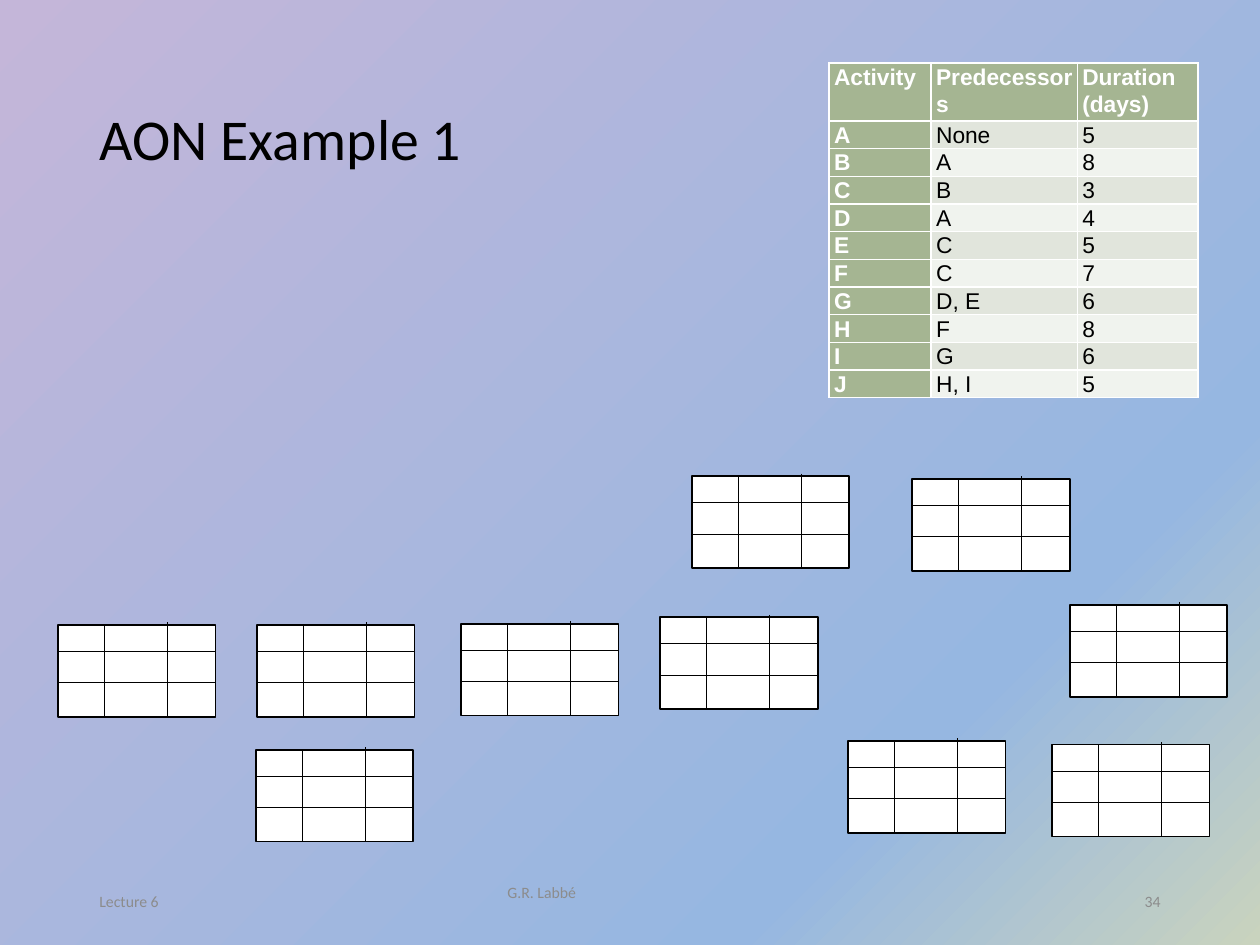
from dataclasses import dataclass

from lxml import etree
from pptx import Presentation
from pptx.dml.color import RGBColor
from pptx.enum.shapes import MSO_CONNECTOR, MSO_SHAPE
from pptx.enum.text import MSO_ANCHOR as ANCHOR, PP_ALIGN as ALIGN
from pptx.oxml import parse_xml
from pptx.oxml.ns import nsdecls, qn
from pptx.util import Inches, Pt


@dataclass(frozen=True)
class Theme:
    black: str = "000000"
    white: str = "FFFFFF"
    green: str = "A5B592"
    bands: tuple = ("E1E5DC", "F0F3EE")
    grey: str = "8C8C8C"
    gradient: tuple = ((0, "C9D3BE"), (24, "96B7E1"), (100, "C4B6D9"))
    title_font: str = "Calibri"
    table_font: str = "Arial"
    title_size: int = 33
    table_size: int = 13
    footer_size: int = 9
    outline: float = 1
    divider: float = 0.5


THEME = Theme()

ACTIVITIES = [
    ("Activity", "Predecessors", "Duration (days)"),
    ("A", "None", "5"),
    ("B", "A", "8"),
    ("C", "B", "3"),
    ("D", "A", "4"),
    ("E", "C", "5"),
    ("F", "C", "7"),
    ("G", "D, E", "6"),
    ("H", "F", "8"),
    ("I", "G", "6"),
    ("J", "H, I", "5"),
]
COLUMN_WIDTHS = (0.81, 1.16, 0.96)
HEADER_HEIGHT, ROW_HEIGHT = 0.46, 0.22

# Text, box, alignment and right inset of each footer part
FOOTERS = [
    ("Lecture 6", (0.69, 6.95, 2.25, 0.4), ALIGN.LEFT, 0.1),
    ("G.R. Labbé", (3.21, 6.88, 3.38, 0.4), ALIGN.CENTER, 1.3),
    ("34", (7.06, 6.95, 2.25, 0.4), ALIGN.RIGHT, 0.1),
]

# Top-left corners of the network nodes
NODE_SIZE = (1.25, 0.73)
NODES = [
    (0.46, 4.96), (2.04, 4.96), (2.03, 5.95), (3.66, 4.95), (5.24, 4.9),
    (5.49, 3.78), (7.24, 3.8), (6.73, 5.88), (8.35, 5.91), (8.49, 4.8),
]


def rgb(value):
    return RGBColor.from_string(value)


def inches(box):
    return [Inches(v) for v in box]


def add_run(p, text, font, size, color, bold=False):
    r = p.add_run()
    r.text = text
    r.font.name = font
    r.font.size = Pt(size)
    r.font.bold = bold
    r.font.color.rgb = rgb(color)


def set_background(s):
    """Radial gradient spreading from the bottom-right corner."""
    stops = "".join(
        f'<a:gs pos="{pos * 1000}"><a:srgbClr val="{color}"/></a:gs>'
        for pos, color in THEME.gradient)
    bg = parse_xml(
        f'<p:bg {nsdecls("p", "a")}><p:bgPr><a:gradFill rotWithShape="1">'
        f'<a:gsLst>{stops}</a:gsLst><a:path path="circle">'
        '<a:fillToRect l="100000" t="100000"/></a:path></a:gradFill>'
        '<a:effectLst/></p:bgPr></p:bg>')
    s.element.cSld.insert(0, bg)


def place_title(s, box, text):
    sp = s.shapes.title
    sp.left, sp.top, sp.width, sp.height = inches(box)
    tf = sp.text_frame
    tf.vertical_anchor = ANCHOR.MIDDLE
    p = tf.paragraphs[0]
    p.alignment = ALIGN.LEFT
    p.line_spacing = 0.9
    add_run(p, text, THEME.title_font, THEME.title_size, THEME.black)


def fill_cell(cell, text, fill, color, bold):
    cell.margin_left = cell.margin_right = Inches(0.04)
    cell.margin_top = cell.margin_bottom = 0
    cell.fill.solid()
    cell.fill.fore_color.rgb = rgb(fill)
    p = cell.text_frame.paragraphs[0]
    p.line_spacing = 1.07
    p.space_after = Pt(8)
    add_run(p, text, THEME.table_font, THEME.table_size, color, bold)


def add_activity_table(s, box):
    # The default table style supplies the white cell borders
    table = s.shapes.add_table(
        len(ACTIVITIES), len(COLUMN_WIDTHS), *inches(box)).table
    table.first_col = True
    for column, width in zip(table.columns, COLUMN_WIDTHS):
        column.width = Inches(width)
    for i, values in enumerate(ACTIVITIES):
        table.rows[i].height = Inches(ROW_HEIGHT if i else HEADER_HEIGHT)
        for j, text in enumerate(values):
            heading = i == 0 or j == 0
            fill = THEME.green if heading else THEME.bands[(i - 1) % 2]
            color = THEME.white if heading else THEME.black
            fill_cell(table.cell(i, j), text, fill, color, heading)


def add_footer(s, box, text, align, right_inset):
    tf = s.shapes.add_textbox(*inches(box)).text_frame
    tf.word_wrap = True
    tf.vertical_anchor = ANCHOR.MIDDLE
    tf.margin_right = Inches(right_inset)
    p = tf.paragraphs[0]
    p.alignment = align
    add_run(p, text, THEME.title_font, THEME.footer_size, THEME.grey)


def add_divider(s, x1, y1, x2, y2):
    line = s.shapes.add_connector(
        MSO_CONNECTOR.STRAIGHT, *inches((x1, y1, x2, y2)))
    line.line.color.rgb = rgb(THEME.black)
    line.line.width = Pt(THEME.divider)
    etree.SubElement(line.element.spPr, qn("a:effectLst"))


def add_node(s, box):
    """Empty activity node: a rectangle split into three by three."""
    x, y, w, h = box
    sp = s.shapes.add_shape(MSO_SHAPE.RECTANGLE, *inches(box))
    sp.shadow.inherit = False
    sp.fill.solid()
    sp.fill.fore_color.rgb = rgb(THEME.white)
    sp.line.color.rgb = rgb(THEME.black)
    sp.line.width = Pt(THEME.outline)
    for dy in (0.21, 0.46):
        add_divider(s, x, y + dy, x + w, y + dy)
    # The second vertical starts slightly above the rectangle
    for dx, rise in ((0.37, 0), (0.87, 0.02)):
        add_divider(s, x + dx, y - rise, x + dx, y + h)


def main():
    prs = Presentation()
    prs.slide_width, prs.slide_height = Inches(10), Inches(7.5)
    s = prs.slides.add_slide(prs.slide_layouts[5])
    set_background(s)
    place_title(s, (0.69, 0.4, 8.62, 1.45), "AON Example 1")
    add_activity_table(s, (6.58, 0.5, 2.93, 2.69))
    for text, box, align, right_inset in FOOTERS:
        add_footer(s, box, text, align, right_inset)
    for corner in NODES:
        add_node(s, corner + NODE_SIZE)
    prs.save("out.pptx")


if __name__ == "__main__":
    main()
